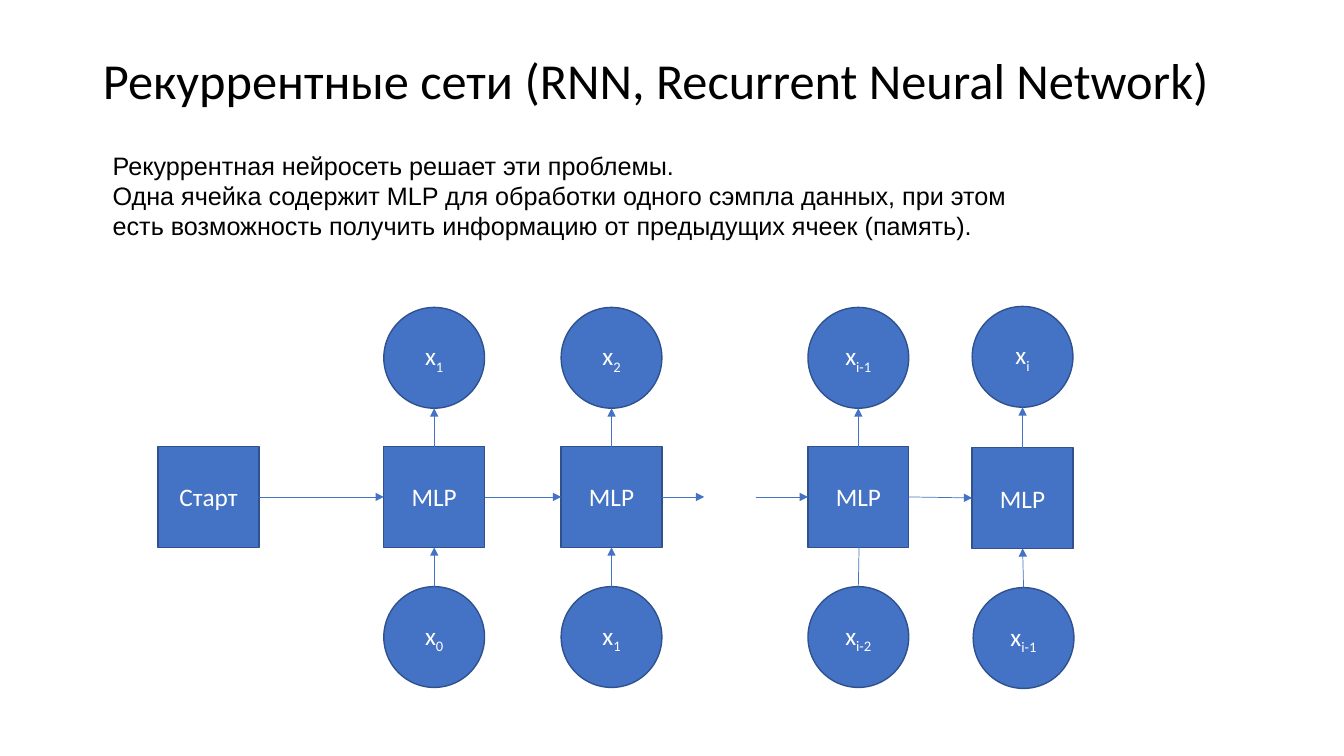
from lxml import etree
from pptx import Presentation
from pptx import util as u
from pptx.dml.color import RGBColor
from pptx.enum import shapes, text
from pptx.oxml import ns

BLACK = RGBColor(0x00, 0x00, 0x00)
WHITE = RGBColor(0xFF, 0xFF, 0xFF)
BLUE = RGBColor(0x44, 0x72, 0xC4)
NAVY = RGBColor(0x2F, 0x52, 0x8F)

PX = 9144  # 100 px to the inch
SIDE = 100  # size of every cell and circle
HALF = SIDE // 2
TOP, LEFT, BOTTOM, RIGHT = range(4)


class Deck:
    styles = {
        "title": {"name": "Calibri", "size": u.Pt(36)},
        "body": {"name": "Arial", "size": u.Pt(18)},
        "node": {"name": "Calibri", "size": u.Pt(18)},
    }

    def __init__(self, wide, high):
        self.prs = Presentation()
        self.prs.slide_width, self.prs.slide_height = wide * PX, high * PX
        self.slide = self.prs.slides.add_slide(self.prs.slide_layouts[5])

    def font(self, font, style, color):
        for key, value in self.styles[style].items():
            setattr(font, key, value)
        font.color.rgb = color

    def title(self, words, *box):
        shape = self.slide.shapes.title
        for key, value in zip(("left", "top", "width", "height"), box):
            setattr(shape, key, value * PX)
        frame = shape.text_frame
        frame.text = words
        frame.auto_size = text.MSO_AUTO_SIZE.NONE
        frame.vertical_anchor = text.MSO_ANCHOR.MIDDLE
        para = frame.paragraphs[0]
        para.alignment = text.PP_ALIGN.LEFT
        para.line_spacing = 0.9
        self.font(para.font, "title", BLACK)

    def body(self, lines, *box):
        shape = self.slide.shapes.add_textbox(*(v * PX for v in box))
        frame = shape.text_frame
        frame.word_wrap = False
        frame.text = "\n".join(lines)
        for para in frame.paragraphs:
            self.font(para.font, "body", BLACK)

    def node(self, kind, x, y, label, sub=""):
        shape = self.slide.shapes.add_shape(
            kind, x * PX, y * PX, SIDE * PX, SIDE * PX)
        shape.shadow.inherit = False
        shape.fill.solid()
        shape.fill.fore_color.rgb = BLUE
        shape.line.color.rgb = NAVY
        shape.line.width = u.Pt(1)
        shape.text_frame.vertical_anchor = text.MSO_ANCHOR.MIDDLE
        para = shape.text_frame.paragraphs[0]
        para.alignment = text.PP_ALIGN.CENTER
        for part, base in ((label, None), (sub, "-25000")):
            if part:
                run = para.add_run()
                run.text = part
                self.font(run.font, "node", WHITE)
                if base:
                    run.font._element.set("baseline", base)
        return shape

    def cell(self, x, y, label):
        return self.node(shapes.MSO_SHAPE.RECTANGLE, x, y, label)

    def state(self, x, y, sub):
        return self.node(shapes.MSO_SHAPE.OVAL, x, y, "x", sub)

    def arrow(self, start, end):
        """Each end is a point (x, y) or a joint (shape, side)."""
        joints = [isinstance(p[0], int) for p in (start, end)]
        a = start if joints[0] else (0, 0)
        b = end if joints[1] else (0, 0)
        line = self.slide.shapes.add_connector(
            shapes.MSO_CONNECTOR.STRAIGHT, *(v * PX for v in a + b))
        if not joints[0]:
            line.begin_connect(*start)
        if not joints[1]:
            line.end_connect(*end)
        line.line.color.rgb = BLUE
        line.line.width = u.Pt(0.5)
        tail = etree.SubElement(line.line._get_or_add_ln(), ns.qn("a:tailEnd"))
        tail.set("type", "triangle")
        etree.SubElement(line._element.spPr, ns.qn("a:effectLst"))


def main():
    deck = Deck(1334, 750)

    # Heading and explanation
    deck.title("Рекуррентные сети (RNN, Recurrent Neural Network)",
               92, 40, 1150, 86)
    deck.body([
        "Рекуррентная нейросеть решает эти проблемы.",
        "Одна ячейка содержит MLP для обработки одного сэмпла данных, при этом",
        "есть возможность получить информацию от предыдущих ячеек (память).",
    ], 102, 144, 910, 100)

    # Cells with their input below and output above
    row = 443
    mid = row + HALF
    first = deck.cell(157, row, "Старт")
    cells = []
    for x, y, low, low_sub, high, high_sub in (
        (381, row, (381, 582), "0", (381, 305), "1"),
        (557, row, (557, 582), "1", (557, 305), "2"),
        (802, row, (802, 582), "i-2", (802, 305), "i-1"),
        (965, row + 1, (966, 583), "i-1", (965, 304), "i"),
    ):
        cell = deck.cell(x, y, "MLP")
        source = deck.state(*low, low_sub)
        deck.state(*high, high_sub)
        # The third input arrow runs on into its cell
        goal = (x + HALF + 1, 526) if x == 802 else (cell, BOTTOM)
        deck.arrow((source, TOP), goal)
        deck.arrow((cell, TOP), (high[0] + HALF, high[1] + SIDE))
        cells.append(cell)

    # Memory passed along the chain, with a gap in the middle
    one, two, prev, last = cells
    for a, b in ((first, one), (one, two), (prev, last)):
        deck.arrow((a, RIGHT), (b, LEFT))
    deck.arrow((two, RIGHT), (699, mid))
    deck.arrow((750, mid), (prev, LEFT))

    deck.prs.save("out.pptx")


if __name__ == "__main__":
    main()
